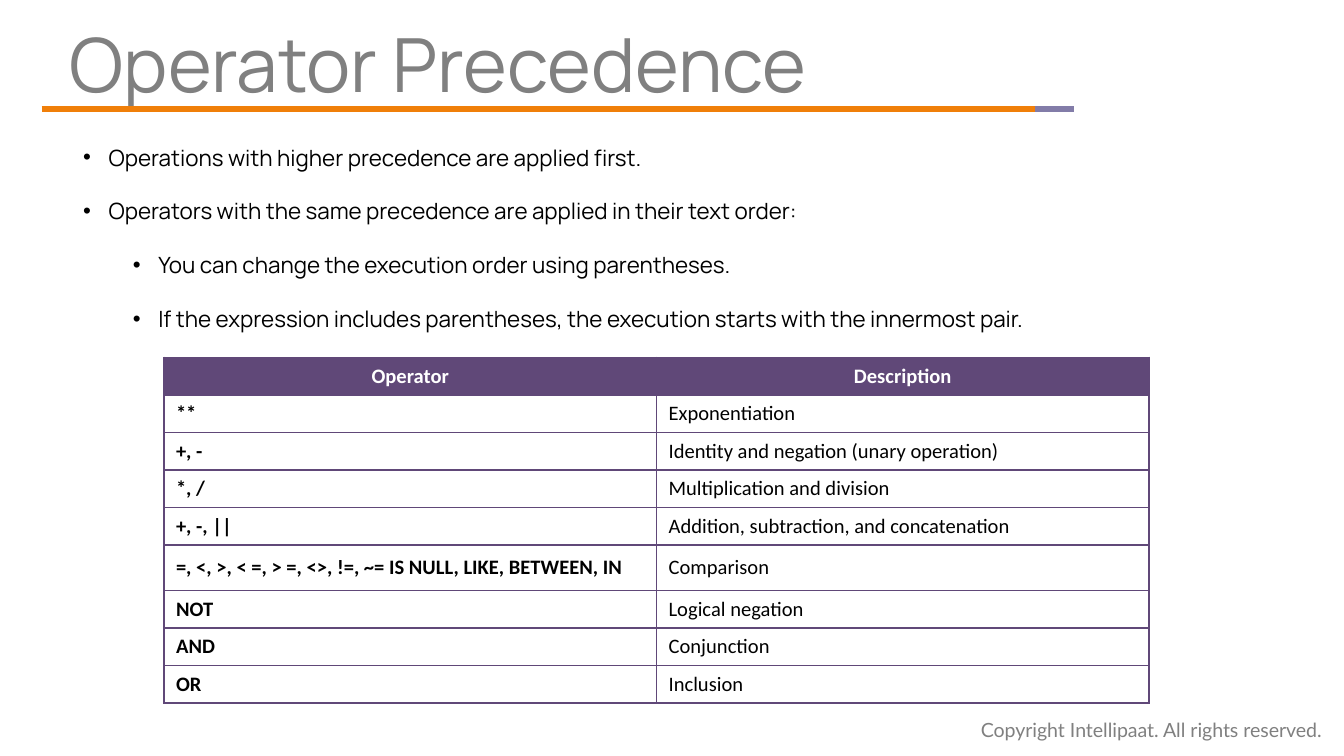
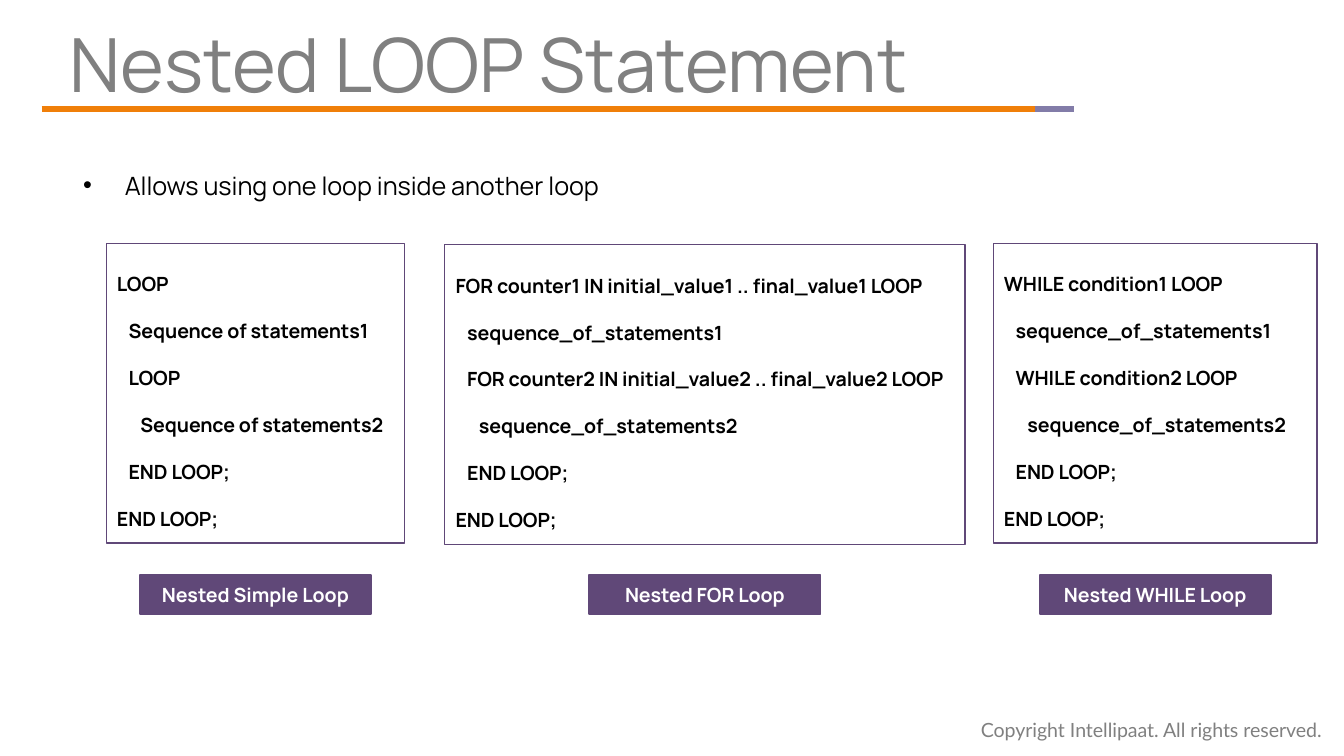
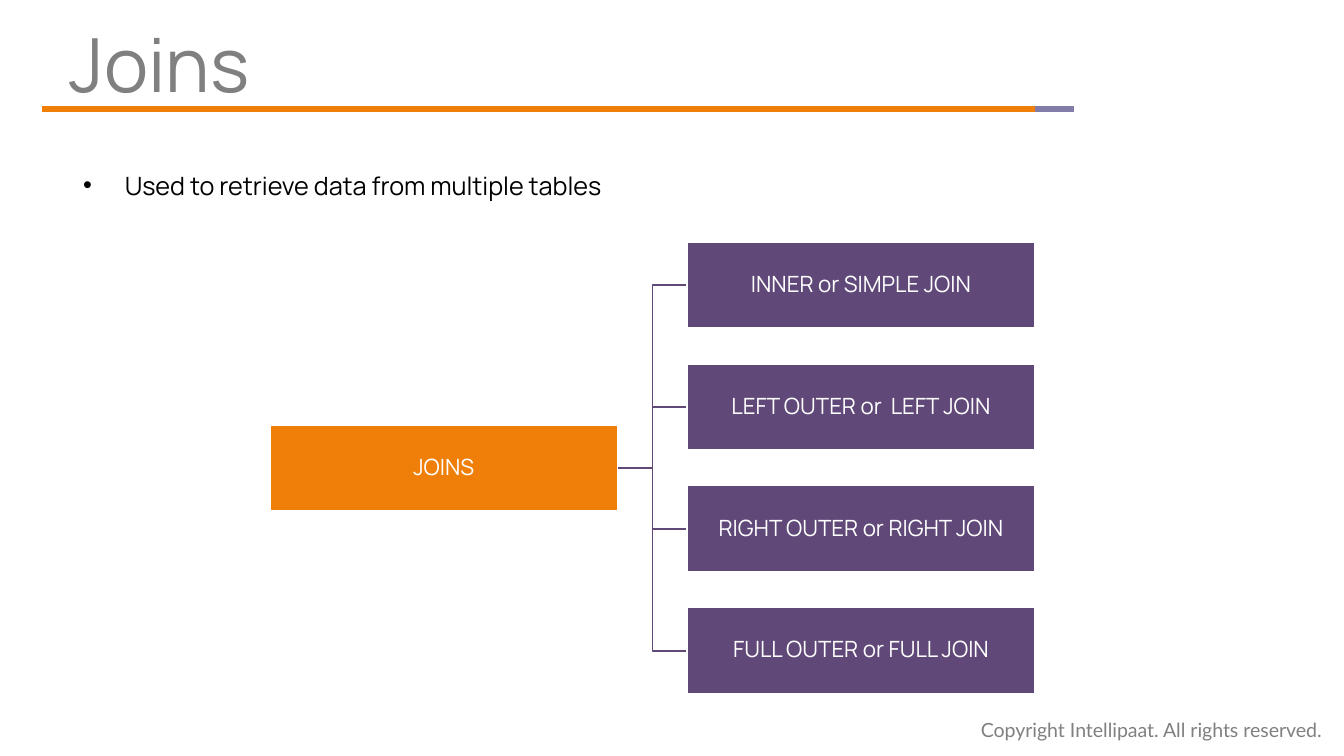
from lxml import etree
from pptx import Presentation
from pptx import util as u
from pptx.dml.color import RGBColor
from pptx.enum import shapes, text
from pptx.oxml.ns import qn

WIDTH, HEIGHT = u.Inches(10), u.Inches(5.625)
PURPLE, ORANGE, LILAC, GREY = "604878", "F07F09", "827CA8", "808080"
BLACK, WHITE = "000000", "FFFFFF"
CENTER, MIDDLE = text.PP_ALIGN.CENTER, text.MSO_ANCHOR.MIDDLE

TITLE_FONT = {"name": "Manrope", "size": u.Pt(40), "bold": False}
FOOTER_FONT = {"name": "Lato", "size": u.Pt(10.5)}
LIST_FONT = {"name": "Manrope", "size": u.Pt(12)}
LEAD_FONT = {"name": "Manrope", "size": u.Pt(13.5)}
CODE_FONT = {"name": "Manrope", "size": u.Pt(10.5), "bold": True}
CELL_FONT = {"name": "Calibri", "size": u.Pt(11)}

OPERATORS = [
    ("Operator", "Description"),
    ("**", "Exponentiation"),
    ("+, -", "Identity and negation (unary operation)"),
    ("*, /", "Multiplication and division"),
    ("+, -, ||", "Addition, subtraction, and concatenation"),
    ("=, <, >, < =, > =, <>, !=, ~= IS NULL, LIKE, BETWEEN, IN", "Comparison"),
    ("NOT", "Logical negation"),
    ("AND", "Conjunction"),
    ("OR", "Inclusion"),
]
COMPARISON_ROW = 5

LOOPS = [
    ("Nested Simple Loop", (7.9, 32.18, 22.2, 39.64),
     ("LOOP", "Sequence of statements1", "LOOP", "Sequence of statements2")),
    ("Nested FOR Loop", (33.1, 32.36, 38.7, 39.64),
     ("FOR counter1 IN initial_value1 .. final_value1 LOOP", "sequence_of_statements1",
      "FOR counter2 IN initial_value2 .. final_value2 LOOP", "sequence_of_statements2")),
    ("Nested WHILE Loop", (73.9, 32.18, 24.1, 39.64),
     ("WHILE condition1 LOOP", "sequence_of_statements1",
      "WHILE condition2 LOOP", "sequence_of_statements2")),
]
LOOP_DEPTHS = (0, 1, 1, 2, 1, 0)

JOINS = ["INNER or SIMPLE JOIN", "LEFT OUTER or  LEFT JOIN",
         "RIGHT OUTER or RIGHT JOIN", "FULL OUTER or FULL JOIN"]


def color(value):
    """Turn a hex string into a colour."""
    return RGBColor.from_string(value)


def across(share):
    """Give a percentage of the slide's width."""
    return round(WIDTH * share / 100)


def down(share):
    """Give a percentage of the slide's height."""
    return round(HEIGHT * share / 100)


def area(left, top, width, height):
    """Turn four percentages into a position and a size."""
    return across(left), down(top), across(width), down(height)


def apply(target, values):
    """Set every attribute in a dict of format values."""
    for name, value in values.items():
        setattr(target, name, value)


def insets(left, top, right, bottom):
    """Give text margins in inches as format values."""
    sides = {"left": left, "top": top, "right": right, "bottom": bottom}
    return {f"margin_{side}": u.Inches(gap) for side, gap in sides.items()}


def write(frame, lines, font, hue, layout=None, **paragraph_format):
    """Fill a text frame with one formatted paragraph per line."""
    apply(frame, {"word_wrap": True, "auto_size": text.MSO_AUTO_SIZE.NONE, **(layout or {})})
    for index, line in enumerate(lines):
        paragraph = frame.add_paragraph() if index else frame.paragraphs[0]
        apply(paragraph, paragraph_format)
        run = paragraph.add_run()
        run.text = line
        apply(run.font, font)
        run.font.color.rgb = color(hue)


def add_bullets(slide, place, items, font, hang):
    """Add a double-spaced bullet list of (level, line) items."""
    frame = slide.shapes.add_textbox(*area(*place)).text_frame
    write(frame, [line for _, line in items], font, BLACK, line_spacing=2.0)
    for paragraph, (level, _) in zip(frame.paragraphs, items):
        paragraph.level = level
        properties = paragraph._p.get_or_add_pPr()
        properties.set("marL", str(u.Inches(hang + 0.37 * level)))
        properties.set("indent", str(-u.Inches(hang)))
        etree.SubElement(properties, qn("a:buFont")).set("typeface", "Arial")
        etree.SubElement(properties, qn("a:buChar")).set("char", "•")


def add_box(slide, place, outline, weight, fill=None):
    """Add a flat rectangle and return its text frame."""
    box = slide.shapes.add_shape(shapes.MSO_SHAPE.RECTANGLE, *area(*place))
    box.shadow.inherit = False
    if fill:
        box.fill.solid()
        box.fill.fore_color.rgb = color(fill)
    else:
        box.fill.background()
    box.line.color.rgb = color(outline)
    box.line.width = u.Pt(weight)
    return box.text_frame


def add_line(slide, start, end, hue, weight, kind=shapes.MSO_CONNECTOR.STRAIGHT):
    """Join two points, given as shares, with a flat connector."""
    (x1, y1), (x2, y2) = start, end
    line = slide.shapes.add_connector(kind, across(x1), down(y1), across(x2), down(y2))
    line.line.color.rgb = color(hue)
    line.line.width = u.Pt(weight)
    etree.SubElement(line.element.spPr, qn("a:effectLst"))


def add_footer(slide):
    """Place the copyright line on the layout that the slides share."""
    footer = slide.shapes.add_textbox(*area(72, 94.04, 28.3, 4.98))
    write(footer.text_frame, ["Copyright Intellipaat. All rights reserved."],
          FOOTER_FONT, GREY, {"word_wrap": False})
    footer.element.nvSpPr.cNvPr.set("id", "20")
    slide.slide_layout.shapes.element.append(footer.element)


def add_titled_slide(deck, heading, width=71):
    """Add a slide with its title and the two-colour rule."""
    slide = deck.slides.add_slide(deck.slide_layouts[5])
    add_line(slide, (3.1, 14.4), (77, 14.4), ORANGE, 3)
    add_line(slide, (77, 14.4), (79.9, 14.4), LILAC, 3)
    title = slide.shapes.title
    apply(title, dict(zip(("left", "top", "width", "height"), area(5.2, 2.84, width, 11.2))))
    write(title.text_frame, [heading], TITLE_FONT, GREY,
          {"vertical_anchor": text.MSO_ANCHOR.TOP, **insets(0, 0.05, 0.1, 0.05)},
          alignment=text.PP_ALIGN.LEFT, line_spacing=0.9)
    return slide


def style_cell(cell, words, heading, strong):
    """Write a table cell and give it borders and a fill."""
    write(cell.text_frame, [words], {**CELL_FONT, "bold": strong},
          WHITE if heading else BLACK,
          alignment=CENTER if heading else text.PP_ALIGN.LEFT)
    apply(cell, {"vertical_anchor": MIDDLE, "margin_left": u.Inches(0.09),
                 "margin_right": u.Inches(0.09), "margin_top": u.Pt(3.25),
                 "margin_bottom": u.Pt(3.25)})
    properties = cell._tc.get_or_add_tcPr()
    for side in "LRTB":
        border = etree.SubElement(properties, qn(f"a:ln{side}"), w=str(u.Pt(1)))
        paint = etree.SubElement(border, qn("a:solidFill"))
        etree.SubElement(paint, qn("a:srgbClr"), val=PURPLE)
    cell.fill.solid()
    cell.fill.fore_color.rgb = color(PURPLE if heading else WHITE)


def add_operator_table(slide):
    """Add the operators with their descriptions."""
    height, tall = 45.16, 6.04
    table = slide.shapes.add_table(len(OPERATORS), 2, *area(12.2, 47.29, 73.3, height)).table
    table.horz_banding = False
    for index, (row, entries) in enumerate(zip(table.rows, OPERATORS)):
        row.height = down(tall if index == COMPARISON_ROW
                          else (height - tall) / (len(OPERATORS) - 1))
        for column, (cell, words) in enumerate(zip(row.cells, entries)):
            style_cell(cell, words, index == 0, index == 0 or column == 0)


def add_loop(slide, caption, place, statements):
    """Add a code panel with its caption centred below."""
    left, _, width, _ = place
    lines = ["   " * depth + code
             for depth, code in zip(LOOP_DEPTHS, (*statements, "END LOOP;", "END LOOP;"))]
    write(add_box(slide, place, PURPLE, 0.75), lines, CODE_FONT, BLACK,
          {"vertical_anchor": text.MSO_ANCHOR.TOP, **insets(0.08, 0.04, 0.1, 0.12)},
          alignment=text.PP_ALIGN.LEFT, line_spacing=2.0)
    label = 17.2
    write(add_box(slide, (left + (width - label) / 2, 76.09, label, 5.16), PURPLE, 1, PURPLE),
          [caption], CODE_FONT, WHITE, {"vertical_anchor": MIDDLE}, alignment=CENTER)


def add_join_tree(slide):
    """Add the root box, its branches and the kinds of join."""
    width, height, top, pitch = 25.85, 11.42, 32, 16.12
    root_left, kind_left = 20.1, 51.15
    root_top = top + pitch * (len(JOINS) - 1) / 2
    kind_tops = [top + pitch * row for row in range(len(JOINS))]
    for kind_top in kind_tops:
        add_line(slide, (root_left + width, root_top + height / 2),
                 (kind_left, kind_top + height / 2), PURPLE, 1, shapes.MSO_CONNECTOR.ELBOW)
    nodes = [("JOINS", root_left, root_top, ORANGE)]
    nodes += [(kind, kind_left, kind_top, PURPLE) for kind, kind_top in zip(JOINS, kind_tops)]
    for words, left, node_top, fill in nodes:
        write(add_box(slide, (left, node_top, width, height), WHITE, 1, fill),
              [words], LIST_FONT, WHITE,
              {"vertical_anchor": MIDDLE, **insets(0.01, 0.01, 0.01, 0.01)},
              alignment=CENTER, line_spacing=0.9)


def main():
    """Build the three slides and save them."""
    deck = Presentation()
    apply(deck, {"slide_width": WIDTH, "slide_height": HEIGHT})

    precedence = add_titled_slide(deck, "Operator Precedence")
    add_footer(precedence)
    add_bullets(precedence, (5.2, 14.58, 87.4, 29.33), [
        (0, "Operations with higher precedence are applied first."),
        (0, "Operators with the same precedence are applied in their text order:"),
        (1, "You can change the execution order using parentheses."),
        (1, "If the expression includes parentheses, the execution starts with the innermost pair."),
    ], LIST_FONT, 0.19)
    add_operator_table(precedence)

    lead_place = (5.2, 17.6, 82.2, 8.71)
    nesting = add_titled_slide(deck, "Nested LOOP Statement", 82.2)
    add_bullets(nesting, lead_place, [(0, "Allows using one loop inside another loop")],
                LEAD_FONT, 0.31)
    for loop in LOOPS:
        add_loop(nesting, *loop)

    joins = add_titled_slide(deck, "Joins")
    add_bullets(joins, lead_place, [(0, "Used to retrieve data from multiple tables")],
                LEAD_FONT, 0.31)
    add_join_tree(joins)

    deck.save("out.pptx")


if __name__ == "__main__":
    main()
